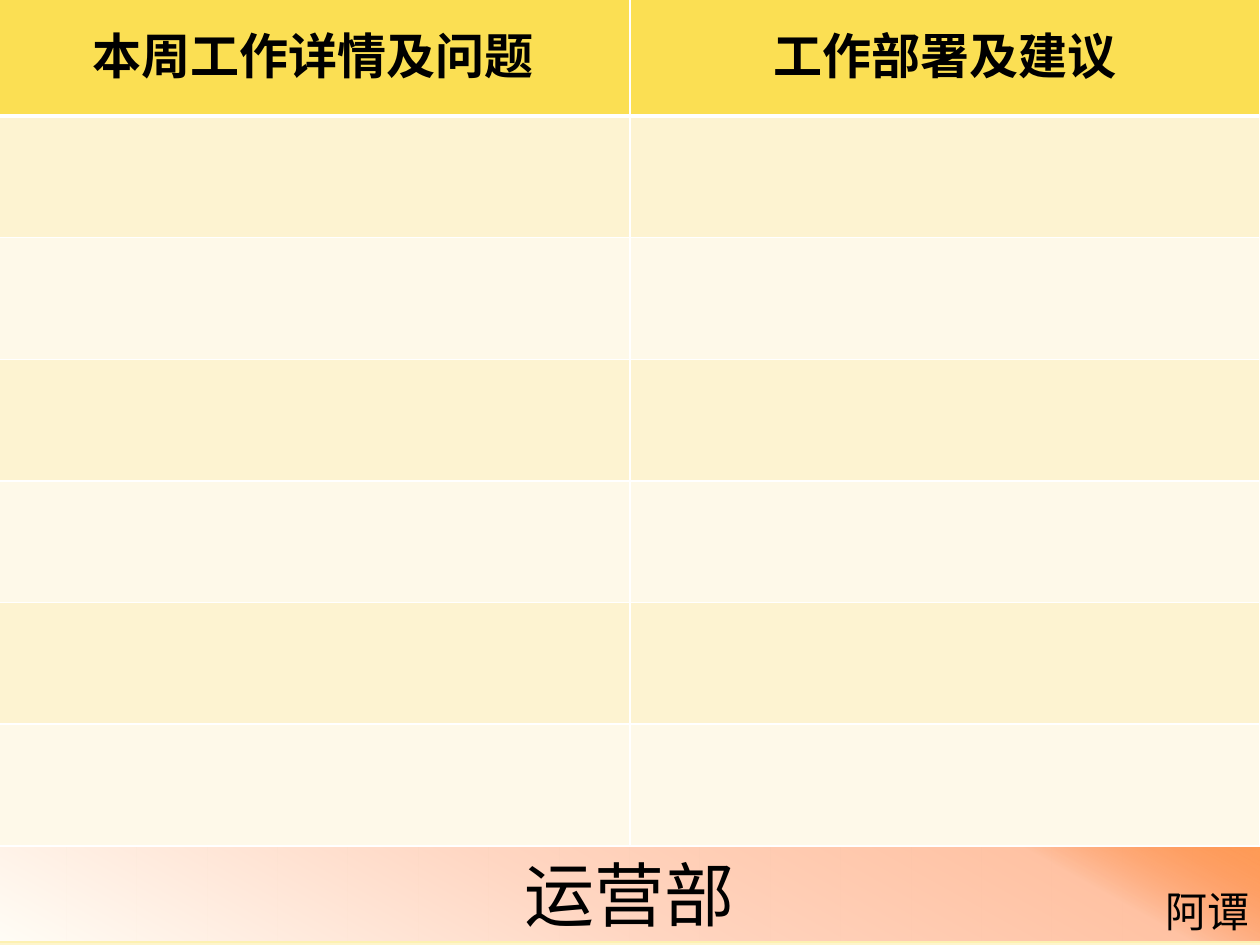
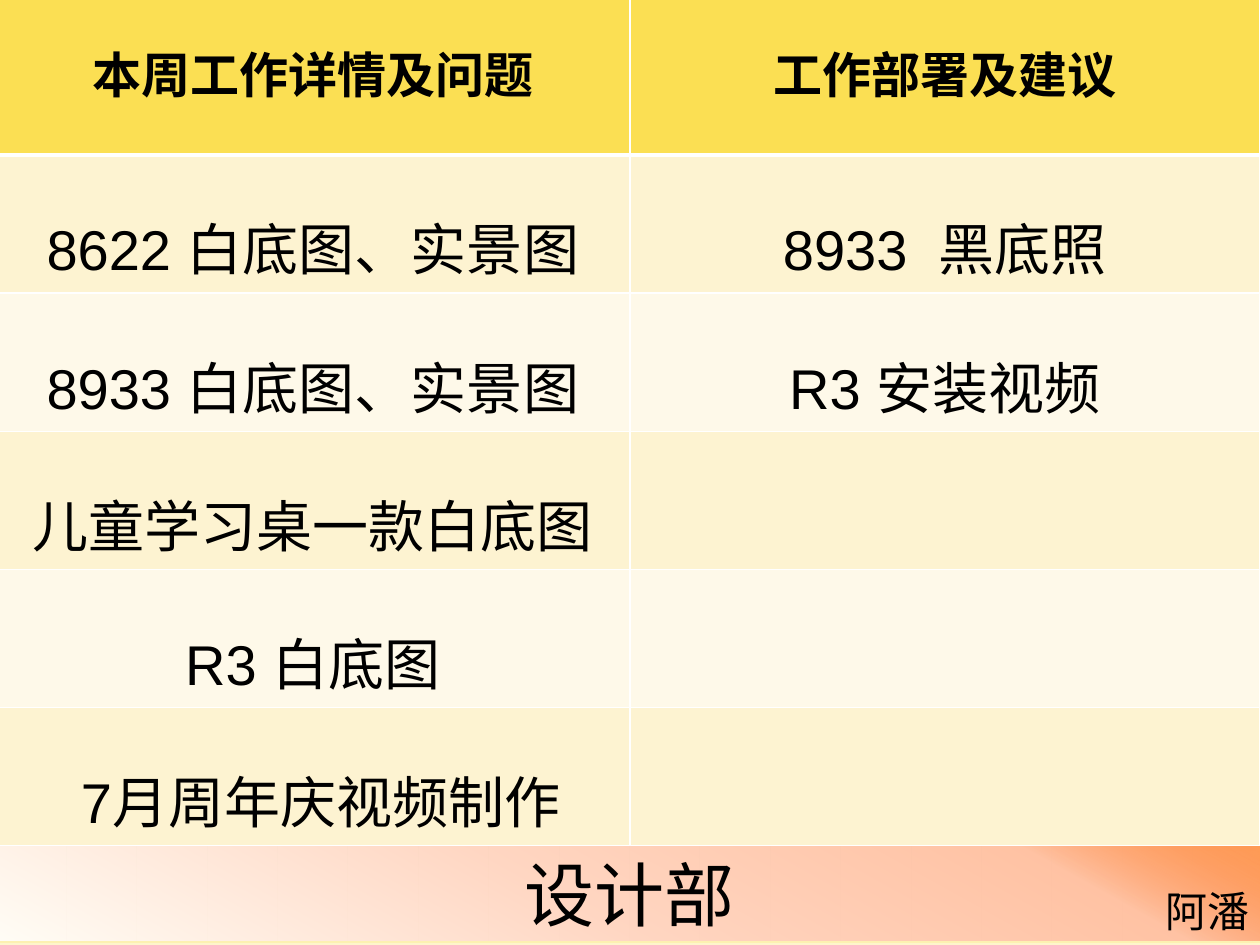
"""Build the weekly department report slides: a two-column table over a gradient name band."""

from dataclasses import dataclass
from typing import NamedTuple

from lxml import etree
from pptx import Presentation
from pptx.dml.color import RGBColor
from pptx.enum.shapes import MSO_SHAPE
from pptx.enum.text import MSO_ANCHOR, PP_ALIGN
from pptx.oxml.ns import qn
from pptx.util import Pt

PIXEL = 914400 / 126
SLIDE_WIDTH, SLIDE_HEIGHT = 1260, 945

RECTANGLE = MSO_SHAPE.RECTANGLE
CENTER, RIGHT = PP_ALIGN.CENTER, PP_ALIGN.RIGHT
MIDDLE, BOTTOM = MSO_ANCHOR.MIDDLE, MSO_ANCHOR.BOTTOM

BLACK = RGBColor(0x00, 0x00, 0x00)
WHITE = RGBColor(0xFF, 0xFF, 0xFF)
IVORY = RGBColor(0xFF, 0xFD, 0xF6)
STRAW = RGBColor(0xFD, 0xF1, 0xB2)
BUTTER = RGBColor(0xFE, 0xF5, 0xCB)
BLUSH = RGBColor(0xFF, 0xD6, 0xC2)
PEACH = RGBColor(0xFF, 0xC2, 0xA3)
ORANGE = RGBColor(0xFF, 0x5D, 0x0D)
HEADER_YELLOW = RGBColor(0xFB, 0xDF, 0x53)
ROW_COLORS = (RGBColor(0xFD, 0xF3, 0xD1), RGBColor(0xFE, 0xF9, 0xE9))

CJK_FONT = "Noto Sans CJK SC"
LATIN_FONT = "Arial"

HEADINGS = ("本周工作详情及问题", "工作部署及建议")
TABLE_LEFT, TABLE_TOP, TABLE_HEIGHT = -4, -5, 851
COLUMN_WIDTHS = (634, 630)


class Stop(NamedTuple):
    """A gradient stop, with position and opacity in percent."""

    position: int
    color: RGBColor
    opacity: int = 100


class TextStyle(NamedTuple):
    """The look of one line of text."""

    size: int
    font: str = CJK_FONT
    bold: bool = False
    alignment: PP_ALIGN = CENTER


@dataclass
class Report:
    """The weekly report of one department."""

    department: str
    author: str
    header_height: int
    rows: list[tuple[str, str]]


BACKGROUND_STOPS = (Stop(0, IVORY), Stop(74, STRAW), Stop(83, STRAW), Stop(100, BUTTER))
BAND_STOPS = (Stop(0, IVORY), Stop(45, BLUSH), Stop(83, PEACH), Stop(100, ORANGE, 58))

DEPARTMENT_STYLE = TextStyle(40)
AUTHOR_STYLE = TextStyle(24, alignment=RIGHT)
HEADING_STYLE = TextStyle(28, bold=True)
BODY_STYLE = TextStyle(32, LATIN_FONT)

REPORTS = (
    Report("运营部", "阿谭", 121, [("", "")] * 6),
    Report(
        "设计部",
        "阿潘",
        160,
        [
            ("8622 白底图、实景图", "8933  黑底照"),
            ("8933 白底图、实景图", "R3 安装视频"),
            ("儿童学习桌一款白底图", ""),
            ("R3 白底图", ""),
            (" 7月周年庆视频制作", ""),
        ],
    ),
)


def px(pixels: float) -> int:
    """Turn pixels into EMU."""
    return round(pixels * PIXEL)


def set_gradient(fill, element, stops: tuple[Stop, ...], angle: int) -> None:
    """Give a fill its gradient stops and its clockwise angle in degrees."""
    fill.gradient()
    gradient = next(element.iter(qn("a:gradFill")))
    stop_list = gradient.find(qn("a:gsLst"))
    for old_stop in list(stop_list):
        stop_list.remove(old_stop)
    for stop in stops:
        stop_element = etree.SubElement(stop_list, qn("a:gs"), pos=str(stop.position * 1000))
        color = etree.SubElement(stop_element, qn("a:srgbClr"), val=str(stop.color))
        if stop.opacity < 100:
            etree.SubElement(color, qn("a:alpha"), val=str(stop.opacity * 1000))
    gradient.find(qn("a:lin")).set("ang", str(angle * 60000))


def write_text(text_frame, text: str, style: TextStyle) -> None:
    """Write one styled paragraph."""
    paragraph = text_frame.paragraphs[0]
    paragraph.text = text
    paragraph.alignment = style.alignment
    font = paragraph.font
    font.size = Pt(style.size)
    font.bold = style.bold
    font.color.rgb = BLACK
    font.name = style.font
    properties = paragraph._p.pPr.find(qn("a:defRPr"))
    etree.SubElement(properties, qn("a:ea"), typeface=CJK_FONT)


def set_borders(cell, top: int, bottom: int) -> None:
    """Draw white cell borders, with the top and bottom widths in points."""
    properties = cell._tc.get_or_add_tcPr()
    widths = {"a:lnL": 1, "a:lnR": 1, "a:lnT": top, "a:lnB": bottom}
    for index, (tag, width) in enumerate(widths.items()):
        line = etree.Element(qn(tag), w=str(Pt(width)))
        fill = etree.SubElement(line, qn("a:solidFill"))
        etree.SubElement(fill, qn("a:srgbClr"), val=str(WHITE))
        properties.insert(index, line)


def fill_cell(cell, text: str, row: int) -> None:
    """Fill a cell by its row, with row 0 as the header."""
    cell.fill.solid()
    cell.fill.fore_color.rgb = ROW_COLORS[(row - 1) % 2] if row else HEADER_YELLOW
    set_borders(cell, top=3 if row == 1 else 1, bottom=1 if row else 3)
    if text:
        cell.margin_left = cell.margin_right = cell.margin_top = px(1)
        cell.margin_bottom = px(6)
        cell.vertical_anchor = BOTTOM if row else MIDDLE
        write_text(cell.text_frame, text, BODY_STYLE if row else HEADING_STYLE)


def add_band(slide, department: str) -> None:
    """Add the bottom band with the department name."""
    band = slide.shapes.add_shape(RECTANGLE, px(-3), px(845), px(1265), px(97))
    band.shadow.inherit = False
    set_gradient(band.fill, band._element, BAND_STOPS, 299)
    band.line.color.rgb = STRAW
    band.line.width = Pt(0.75)
    band.text_frame.vertical_anchor = MIDDLE
    write_text(band.text_frame, department, DEPARTMENT_STYLE)


def add_author(slide, author: str) -> None:
    """Add the author name in the bottom right corner."""
    box = slide.shapes.add_textbox(px(1152), px(879), px(110), px(63))
    box.text_frame.word_wrap = False
    write_text(box.text_frame, author, AUTHOR_STYLE)


def add_report_table(slide, report: Report) -> None:
    """Add the table, with the body rows sharing the height under the header."""
    lines = [HEADINGS, *report.rows]
    table = slide.shapes.add_table(
        len(lines), len(HEADINGS),
        px(TABLE_LEFT), px(TABLE_TOP), px(sum(COLUMN_WIDTHS)), px(TABLE_HEIGHT),
    ).table
    for column, width in zip(table.columns, COLUMN_WIDTHS):
        column.width = px(width)
    body_height = (TABLE_HEIGHT - report.header_height) / len(report.rows)
    for row, texts in enumerate(lines):
        table.rows[row].height = px(body_height if row else report.header_height)
        for column, text in enumerate(texts):
            fill_cell(table.cell(row, column), text, row)


def add_report_slide(presentation, report: Report) -> None:
    """Add the slide of one department."""
    slide = presentation.slides.add_slide(presentation.slide_layouts[6])
    set_gradient(slide.background.fill, slide._element, BACKGROUND_STOPS, 90)
    add_band(slide, report.department)
    add_author(slide, report.author)
    add_report_table(slide, report)


def main() -> None:
    """Build and save the presentation."""
    presentation = Presentation()
    presentation.slide_width = px(SLIDE_WIDTH)
    presentation.slide_height = px(SLIDE_HEIGHT)
    for report in REPORTS:
        add_report_slide(presentation, report)
    presentation.save("out.pptx")


main()
